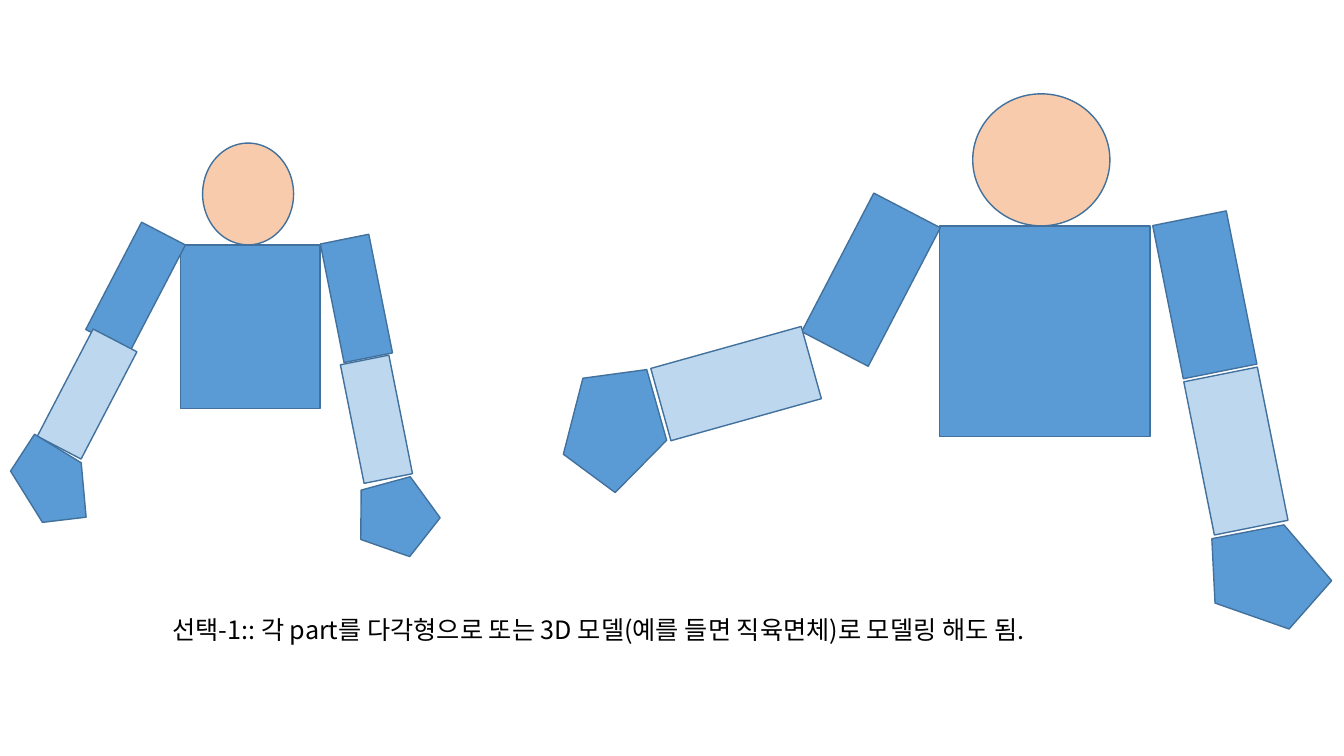
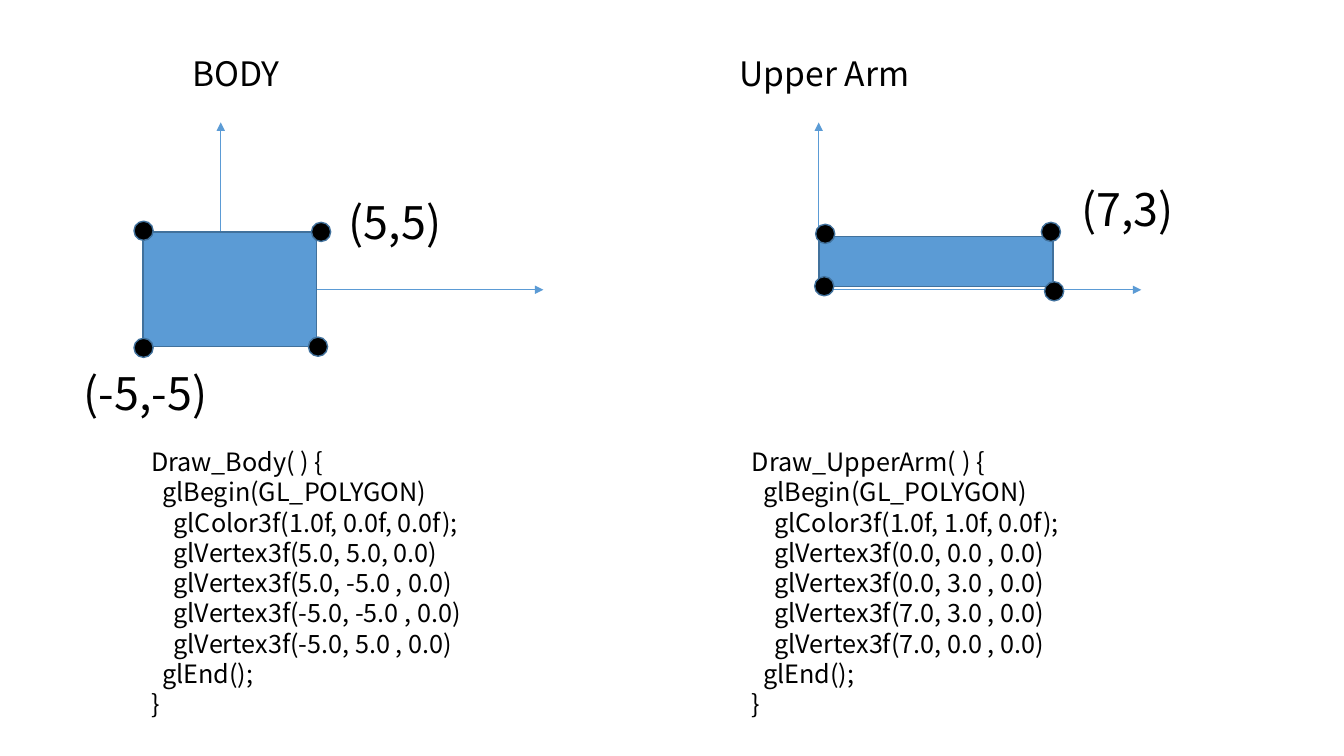
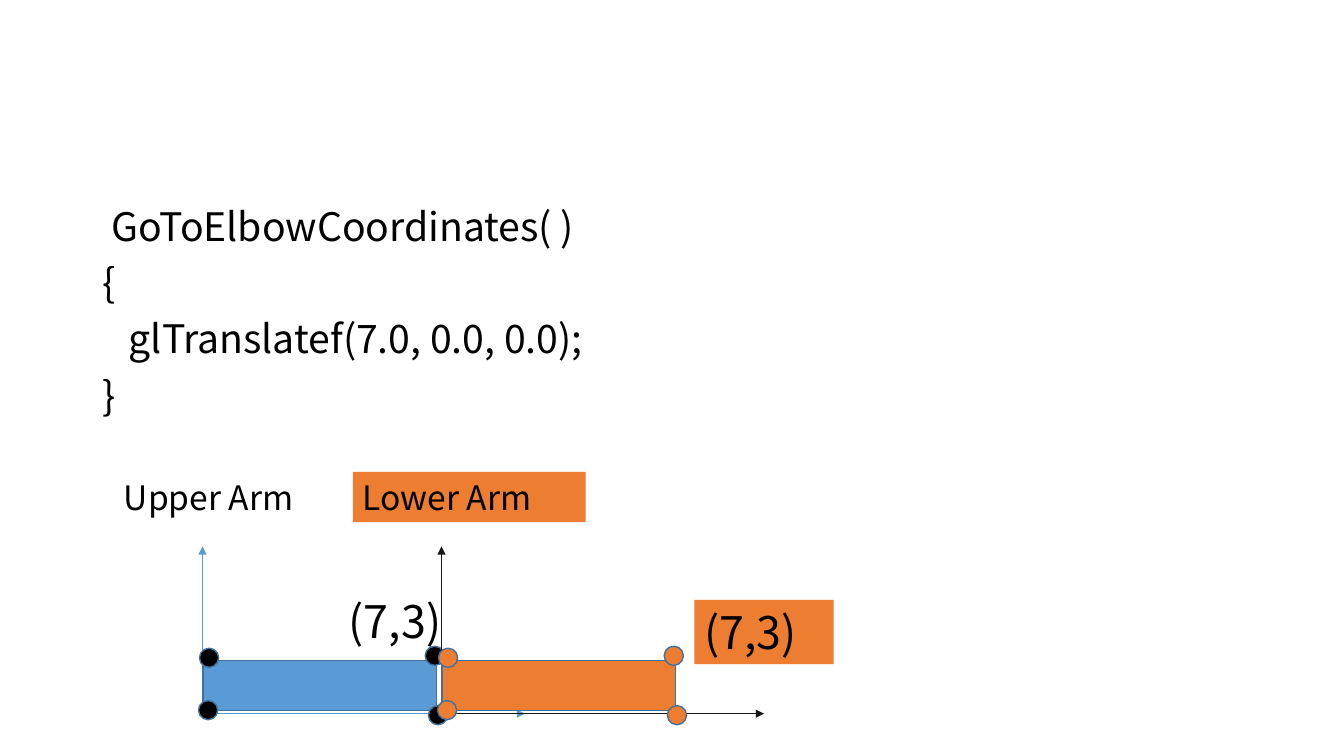
from lxml import etree
from pptx import Presentation
from pptx.dml.color import RGBColor
from pptx.enum import shapes as kinds
from pptx.enum import text as text_enum
from pptx.oxml import ns
from pptx.util import Pt

FONT = "Noto Sans CJK KR"
BLUE = RGBColor(0x5B, 0x9B, 0xD5)
PALE_BLUE = RGBColor(0xBD, 0xD7, 0xEE)
OUTLINE = RGBColor(0x41, 0x71, 0x9C)
SKIN = RGBColor(0xF8, 0xCB, 0xAD)
ORANGE = RGBColor(0xED, 0x7D, 0x31)
BLACK = RGBColor(0, 0, 0)
DARK = RGBColor(0x18, 0x17, 0x17)

RECT = kinds.MSO_SHAPE.RECTANGLE
OVAL = kinds.MSO_SHAPE.OVAL
HAND = kinds.MSO_SHAPE.REGULAR_PENTAGON

LINE_HEIGHT = 1.2
SPACE_WIDTH = 0.224
DOT = 13.7
AXIS_X, AXIS_Y = 230.4, 119.5

SMALL_FIGURE = [
    (OVAL, SKIN, (144.7, 102.2, 65, 72.7), 0),
    (RECT, BLUE, (129, 175, 99.5, 116.6), 0),
    (RECT, BLUE, (237, 170, 35.3, 86.4), 348.7),
    (RECT, PALE_BLUE, (251.3, 256.3, 35.3, 86.4), 348.7),
    (HAND, BLUE, (254.2, 339, 59.8, 54), 19.3),
    (RECT, BLUE, (79.2, 162, 35.3, 86.4), 27.5),
    (RECT, PALE_BLUE, (44.6, 238.3, 35.3, 86.4), 27.5),
    (HAND, BLUE, (3.6, 319.7, 69.8, 46), 58.1),
]
LARGE_FIGURE = [
    (OVAL, SKIN, (694.8, 67, 98, 94.3), 0),
    (RECT, BLUE, (671, 161.3, 150.5, 150.5), 0),
    (RECT, BLUE, (833.8, 154.8, 53.6, 111.6), 348.7),
    (RECT, PALE_BLUE, (856, 266.4, 53.6, 111.6), 348.7),
    (HAND, BLUE, (860.4, 373, 90.7, 69), 19.3),
    (RECT, BLUE, (595.4, 144, 53.6, 111.6), 27.5),
    (RECT, PALE_BLUE, (499, 218.2, 53.6, 111.6), 74.4),
    (HAND, BLUE, (397.4, 271.4, 90.7, 69), 104.4),
]
NOTE = "선택-1:: 각 part를 다각형으로 또는 3D 모델(예를 들면 직육면체)로 모델링 해도 됨."

BODY_PART = {
    "rect": (-55.5, -41.4, 124, 82),
    "dots": [(64.8, -48.2), (-62, -49), (62.6, 33.8), (-62, 34.6)],
}
ARM_PART = {
    "rect": (0.3, -38.2, 167, 36),
    "dots": [(159, -48.2), (-2.2, -46.8), (161.3, -5.8), (-2.9, -9.4)],
}

PART_PANELS = [
    {
        "part": BODY_PART,
        "origin": (157.7, 207),
        "labels": [
            ("(5,5)", 32, (242, 135.4, 99.4, 46)),
            ("(-5,-5)", 32, (52.6, 257.8, 120, 46)),
            ("BODY", 24, (130.3, 34.6, 111.6, 36)),
        ],
        "function": "Draw_Body( ) {",
        "color": "1.0f, 0.0f, 0.0f",
        "vertices": ["5.0, 5.0, 0.0", "5.0, -5.0 , 0.0",
                     "-5.0, -5.0 , 0.0", "-5.0, 5.0 , 0.0"],
        "code_box": (100.8, 315.4, 295, 201.6),
    },
    {
        "part": ARM_PART,
        "origin": (584.8, 207),
        "labels": [
            ("(7,3)", 32, (765.4, 126, 99.4, 46)),
            ("Upper Arm", 24, (521.3, 34.6, 166.3, 36)),
        ],
        "function": "Draw_UpperArm( ) {",
        "color": "1.0f, 1.0f, 0.0f",
        "vertices": ["0.0, 0.0 , 0.0", "0.0, 3.0 , 0.0",
                     "7.0, 3.0 , 0.0", "7.0, 0.0 , 0.0"],
        "code_box": (530, 315.4, 295, 244.8),
    },
]

ELBOW_CODE = [
    (1, "GoToElbowCoordinates( )"),
    (0, "{"),
    (3, "glTranslatef(7.0, 0.0, 0.0);"),
    (0, "}"),
]
ELBOW_ARMS = [
    {
        "origin": (144.7, 509.8), "fill": BLUE, "dots": BLACK, "axes": BLUE,
        "label_fill": None,
        "labels": [("(7,3)", 32, (242, 420.5, 99.4, 46)),
                   ("Upper Arm", 24, (81.4, 337, 166.3, 36))],
    },
    {
        "origin": (315.4, 509.8), "fill": ORANGE, "dots": ORANGE, "axes": DARK,
        "label_fill": ORANGE,
        "labels": [("(7,3)", 32, (496, 428.4, 99.4, 46)),
                   ("Lower Arm", 24, (252, 337, 166.3, 36))],
    },
]


def points(values):
    return [Pt(value) for value in values]


def add_part(container, kind, fill, frame, turn=0):
    shape = container.shapes.add_shape(kind, *points(frame))
    shape.rotation = turn
    shape.shadow.inherit = False
    shape.fill.solid()
    shape.fill.fore_color.rgb = fill
    shape.line.color.rgb = OUTLINE
    shape.line.width = Pt(1)


def add_text(slide, lines, size, frame, fill=None, spacing=LINE_HEIGHT, before=0):
    box = slide.shapes.add_textbox(*points(frame))
    if fill is not None:
        box.fill.solid()
        box.fill.fore_color.rgb = fill
    box.text_frame.word_wrap = True
    box.text_frame.vertical_anchor = text_enum.MSO_ANCHOR.TOP
    box.text_frame.text = "\n".join(line for _, line in lines)
    for para, (spaces, _) in zip(box.text_frame.paragraphs, lines):
        para.line_spacing = Pt(round(size * spacing, 2))
        para.space_before = Pt(before)
        if spaces:
            indent = Pt(spaces * SPACE_WIDTH * size)
            para._p.get_or_add_pPr().set("marL", str(indent))
        for span in para.runs:
            span.font.size = Pt(size)
            span.font.color.rgb = BLACK
            span.font.name = FONT
            east_asian = etree.SubElement(span.font._element, ns.qn("a:ea"))
            east_asian.set("typeface", FONT)


def add_labels(slide, labels, fill=None):
    for label, size, frame in labels:
        add_text(slide, [(0, label)], size, frame, fill)


def add_axis(slide, start, end, color):
    axis = slide.shapes.add_connector(
        kinds.MSO_CONNECTOR.STRAIGHT, *points(start + end))
    axis.line.color.rgb = color
    axis.line.width = Pt(0.5)
    arrow = etree.SubElement(axis.line._get_or_add_ln(), ns.qn("a:tailEnd"))
    arrow.set("type", "triangle")
    etree.SubElement(axis._element.spPr, ns.qn("a:effectLst"))


def add_coordinates(slide, part, origin, fill=BLUE, dots=BLACK, axes=BLUE):
    x, y = origin
    add_axis(slide, origin, (x + AXIS_X, y), axes)
    add_axis(slide, origin, (x, y - AXIS_Y), axes)
    left, top, width, height = part["rect"]
    add_part(slide, RECT, fill, (x + left, y + top, width, height))
    for left, top in part["dots"]:
        add_part(slide, OVAL, dots, (x + left, y + top, DOT, DOT))


def drawing_code(panel):
    return [
        (0, panel["function"]),
        (2, "glBegin(GL_POLYGON)"),
        (4, f"glColor3f({panel['color']});"),
        *[(4, f"glVertex3f({vertex})") for vertex in panel["vertices"]],
        (2, "glEnd();"),
        (0, "}"),
    ]


def build_figures(page):
    group = page.shapes.add_group_shape()
    for container, figure in ((group, SMALL_FIGURE), (page, LARGE_FIGURE)):
        for piece in figure:
            add_part(container, *piece)
    add_text(page, [(0, NOTE)], 18, (116, 435.6, 706.3, 28.8))


def build_parts(page):
    for panel in PART_PANELS:
        add_coordinates(page, panel["part"], panel["origin"])
        add_labels(page, panel["labels"])
        add_text(page, drawing_code(panel), 18, panel["code_box"])


def build_elbow(page):
    add_text(page, ELBOW_CODE, 28, (66.2, 144, 828, 342.7),
             spacing=0.9 * LINE_HEIGHT, before=10)
    for arm in ELBOW_ARMS:
        add_coordinates(page, ARM_PART, arm["origin"],
                        arm["fill"], arm["dots"], arm["axes"])
        add_labels(page, arm["labels"], arm["label_fill"])


def main():
    deck = Presentation()
    deck.slide_width, deck.slide_height = Pt(960), Pt(540)
    for build in (build_figures, build_parts, build_elbow):
        build(deck.slides.add_slide(deck.slide_layouts[6]))
    deck.save("out.pptx")


if __name__ == "__main__":
    main()
